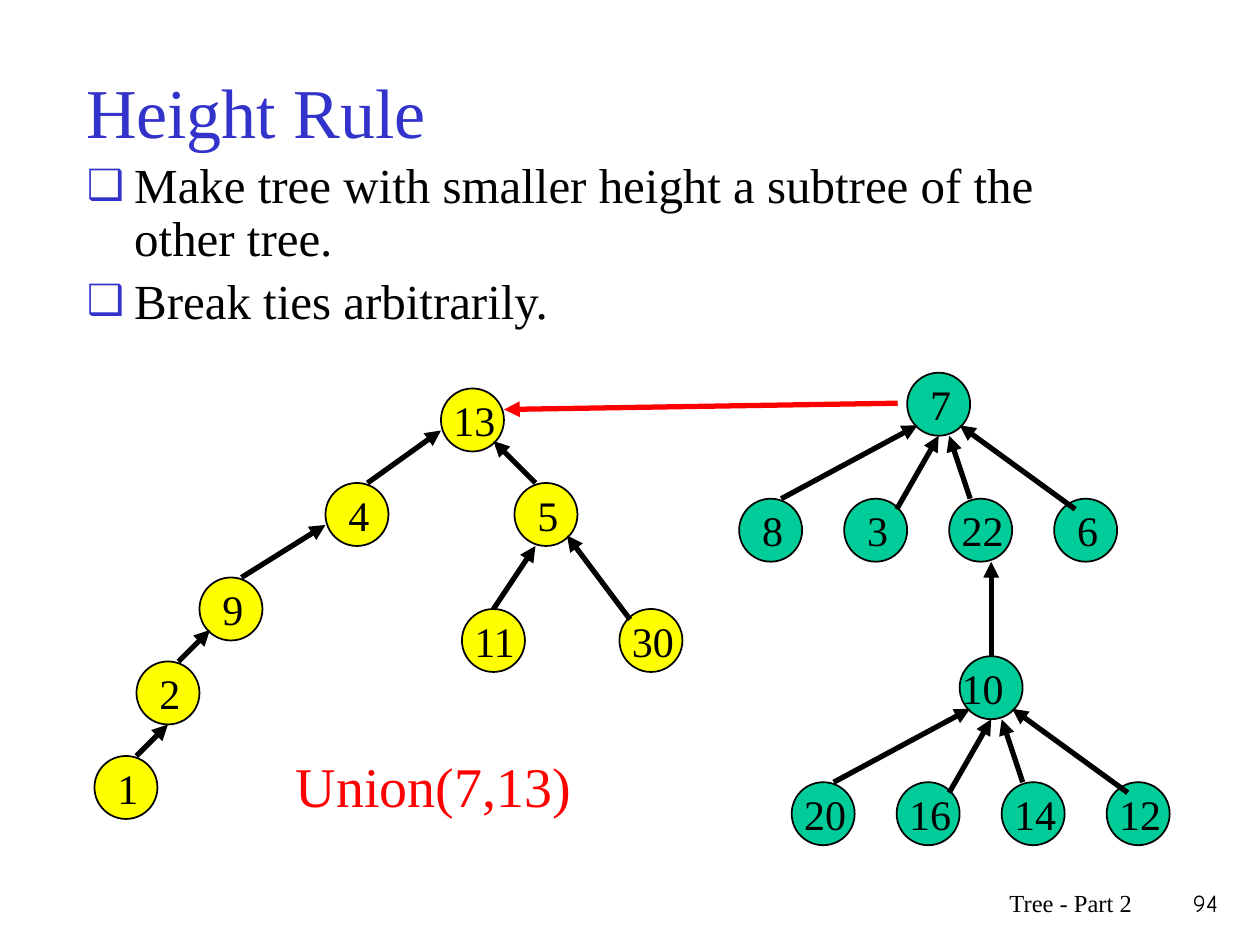
"""Build the Height Rule slide: two union trees and the link between their roots."""
from lxml.etree import SubElement
from pptx import Presentation
from pptx.dml.color import RGBColor
from pptx.enum.shapes import MSO_CONNECTOR as Link, MSO_SHAPE as Form
from pptx.enum.text import MSO_ANCHOR as Anchor, PP_ALIGN as Align
from pptx.oxml.ns import qn
from pptx.util import Pt

SERIF = "Times New Roman"
BLACK, BLUE, RED = "000000", "3333CC", "FF0000"
YELLOW, GREEN = "FFFF00", "00CC99"
SIZE = 36

POINTS = [
    "Make tree with smaller height a subtree of the other tree.",
    "Break ties arbitrarily.",
]
LEFT = [
    ("13", 252, 222), ("4", 186, 276), ("5", 294, 276), ("9", 114, 330),
    ("11", 264, 348), ("30", 354, 348), ("2", 78, 378), ("1", 54, 432),
]
LEFT_EDGES = [
    ((252, 246), (210, 276)), ((186, 300), (138, 330)),
    ((282, 252), (306, 276)), ((120, 360), (102, 378)),
    ((306, 312), (282, 348)), ((324, 306), (360, 354)),
    ((96, 414), (78, 432)),
]
STARS = [
    ("7", 518.4, 213, ["8", "3", "22", "6"]),
    ("10", 548.4, 375, ["20", "16", "14", "12"]),
]
STAR_EDGES = [
    ((6, 30), (-72, 72)), ((18, 36), (-6, 78)),
    ((24, 36), (36, 72)), ((30, 30), (96, 78)),
]
NOTES = [
    ("Union(7,13)", (162, 426, 186, 45), 32, RED, SERIF, Align.LEFT),
    ("Tree - Part 2", (426, 504, 228, 36), 14, BLACK, SERIF, Align.RIGHT),
    ("94", (654, 504, 49, 36), 14, BLACK, "Comic Neue", Align.RIGHT),
]


def color(code):
    return RGBColor.from_string(code)


def style(para, size, code, face=SERIF):
    font = para.font
    font.size, font.name = Pt(size), face
    font.color.rgb = color(code)


def place(shape, *box):
    shape.left, shape.top, shape.width, shape.height = map(Pt, box)


def label(shapes, text, box, size, code, face=SERIF, align=Align.LEFT):
    frame = shapes.add_textbox(*map(Pt, box)).text_frame
    frame.word_wrap = True
    frame.text = text
    para = frame.paragraphs[0]
    para.alignment = align
    style(para, size, code, face)


def node(shapes, text, x, y, fill, shift=None):
    disc = shapes.add_shape(Form.OVAL, Pt(x), Pt(y), Pt(SIZE), Pt(SIZE))
    disc.shadow.inherit = False
    disc.fill.solid()
    disc.fill.fore_color.rgb = color(fill)
    disc.line.color.rgb = color(BLACK)
    disc.line.width = Pt(1)
    if shift is None:
        shift = 6 if len(text) == 1 else 0
    wide = 24 if len(text) == 1 else 54
    label(shapes, text, (x + shift, y, wide, SIZE), 24, BLACK)


def arrow(shapes, tip, tail, code=BLACK):
    line = shapes.add_connector(Link.STRAIGHT, *map(Pt, (*tip, *tail)))
    line.line.color.rgb = color(code)
    line.line.width = Pt(3)
    SubElement(line.line._get_or_add_ln(), qn("a:headEnd"), type="triangle")
    SubElement(line._element.spPr, qn("a:effectLst"))


def bullet(para):
    props = para._p.get_or_add_pPr()
    props.set("marL", str(Pt(27)))
    props.set("indent", str(-Pt(27)))
    tint = SubElement(props, qn("a:buClr"))
    SubElement(tint, qn("a:srgbClr"), val=BLUE)
    SubElement(props, qn("a:buSzPct"), val="85000")
    SubElement(props, qn("a:buChar"), char="❑")


def heading(slide):
    title, body = slide.placeholders
    place(title, 42, 18, 612, 90)
    title.text_frame.text = "Height Rule"
    title.text_frame.vertical_anchor = Anchor.MIDDLE
    para = title.text_frame.paragraphs[0]
    para.alignment = Align.LEFT
    style(para, 40, BLUE)

    place(body, 42.5, 88.5, 617, 119)
    body.text_frame.text = "\n".join(POINTS)
    for i, para in enumerate(body.text_frame.paragraphs):
        para.line_spacing = 0.9
        para.space_before = Pt(5.6 if i else 0)
        bullet(para)
        style(para, 28, BLACK)


def left_tree(slide):
    shapes = slide.shapes.add_group_shape().shapes
    for text, x, y in LEFT:
        node(shapes, text, x, y, YELLOW)
    for tip, tail in LEFT_EDGES:
        arrow(shapes, tip, tail)


def right_tree(slide):
    shapes = slide.shapes.add_group_shape().shapes
    for root, x, y, kids in STARS:
        node(shapes, root, x, y, GREEN, -6 if root == "10" else None)
        for i, kid in enumerate(kids):
            node(shapes, kid, x - 96 + 60 * i, y + 72, GREEN)
        for (ax, ay), (bx, by) in STAR_EDGES:
            arrow(shapes, (x + ax, y + ay), (x + bx, y + by))
    arrow(shapes, (566.4, 321), (566.4, 375))


def main():
    deck = Presentation()
    deck.slide_width, deck.slide_height = Pt(720), Pt(540)
    slide = deck.slides.add_slide(deck.slide_layouts[1])
    heading(slide)
    left_tree(slide)
    right_tree(slide)
    arrow(slide.shapes, (288, 234), (513, 230.4), RED)
    for note in NOTES:
        label(slide.shapes, *note)
    deck.save("out.pptx")


if __name__ == "__main__":
    main()
